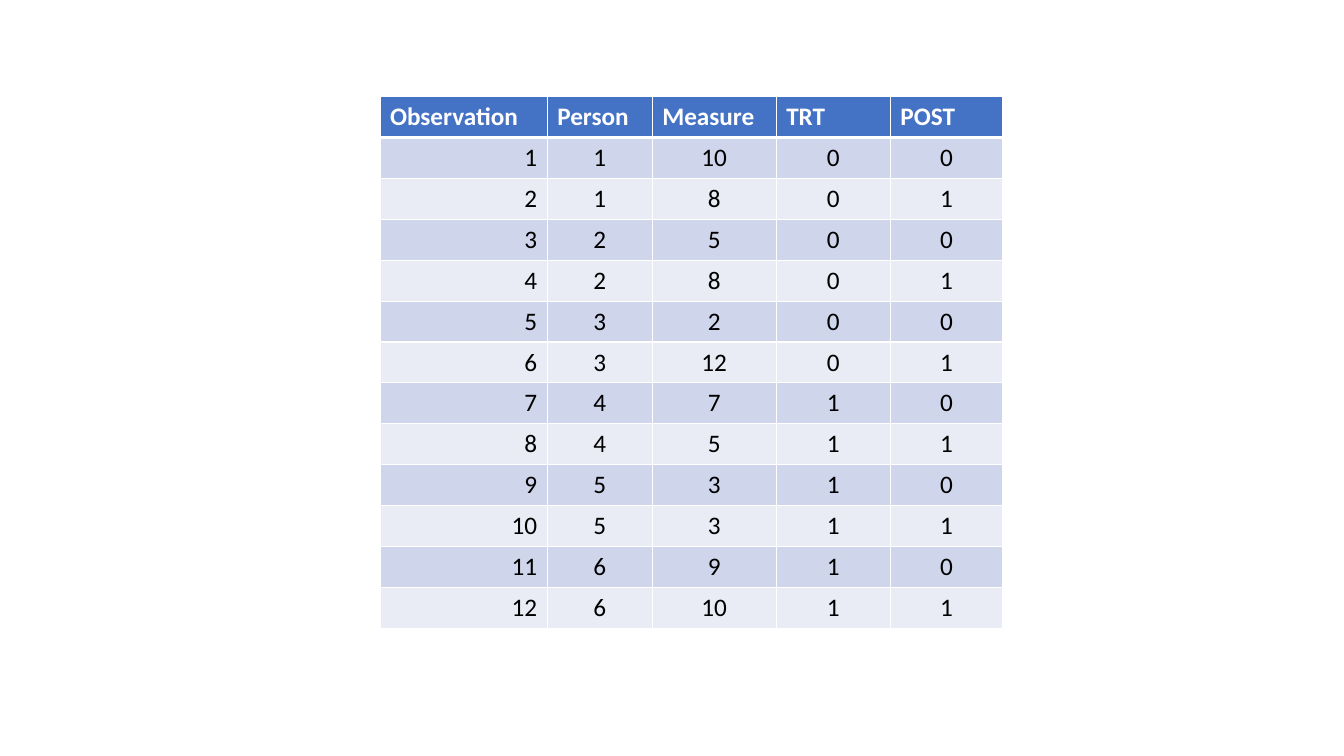
"""Build a slide with a table of before-and-after measures for six people."""
from dataclasses import dataclass

from lxml.etree import SubElement
from pptx import Presentation
from pptx.dml.color import RGBColor
from pptx.enum.text import PP_ALIGN
from pptx.oxml.ns import qn
from pptx.slide import Slide
from pptx.table import _Cell
from pptx.util import Pt

WHITE = RGBColor(0xFF, 0xFF, 0xFF)
BLACK = RGBColor(0x00, 0x00, 0x00)
BLUE = RGBColor(0x44, 0x72, 0xC4)
BAND_DARK = RGBColor(0xCF, 0xD5, 0xEA)
BAND_LIGHT = RGBColor(0xE9, 0xEB, 0xF5)

LEFT, TOP, ROW_HEIGHT = 271.4, 69.1, 29.2
THIN, THICK = 1, 3
MEASURES = (10, 8, 5, 8, 2, 12, 7, 5, 3, 3, 9, 10)


@dataclass(frozen=True)
class Column:
    """A table column: heading, width in points and alignment of its values."""
    heading: str
    width: float
    align: PP_ALIGN = PP_ALIGN.CENTER


@dataclass(frozen=True)
class RowStyle:
    """The look of one table row."""
    fill: RGBColor
    color: RGBColor = BLACK
    bold: bool = False
    top: int = THIN
    bottom: int = THIN


COLUMNS = (
    Column("Observation", 119.5, PP_ALIGN.RIGHT),
    Column("Person", 75),
    Column("Measure", 88.6),
    Column("TRT", 81.6),
    Column("POST", 80),
)


def set_borders(cell: _Cell, style: RowStyle) -> None:
    """Draw white lines on the four sides of a cell."""
    tcPr = cell._tc.get_or_add_tcPr()
    widths = {"a:lnL": THIN, "a:lnR": THIN, "a:lnT": style.top, "a:lnB": style.bottom}
    for tag, width in widths.items():
        ln = SubElement(tcPr, qn(tag), w=str(Pt(width)))
        fill = SubElement(ln, qn("a:solidFill"))
        SubElement(fill, qn("a:srgbClr"), val=str(WHITE))


def fill_cell(cell: _Cell, text: str, align: PP_ALIGN, style: RowStyle) -> None:
    """Write and format one cell."""
    set_borders(cell, style)
    cell.fill.solid()
    cell.fill.fore_color.rgb = style.fill
    p = cell.text_frame.paragraphs[0]
    p.alignment = align
    r = p.add_run()
    r.text = text
    font_format = {"name": "Calibri", "size": Pt(18), "bold": style.bold}
    for name, value in font_format.items():
        setattr(r.font, name, value)
    r.font.color.rgb = style.color


def row_style(index: int) -> RowStyle:
    """Return the header style or the band style of a row."""
    if index == 0:
        return RowStyle(BLUE, WHITE, bold=True, bottom=THICK)
    return RowStyle(BAND_DARK if index % 2 else BAND_LIGHT,
                    top=THICK if index == 1 else THIN)


def add_measure_table(s: Slide) -> None:
    """Add the table with two observations for each person."""
    rows = [tuple(column.heading for column in COLUMNS)]
    for i, measure in enumerate(MEASURES):
        treated = int(i >= len(MEASURES) // 2)
        rows.append((i + 1, i // 2 + 1, measure, treated, i % 2))
    table = s.shapes.add_table(
        len(rows), len(COLUMNS), Pt(LEFT), Pt(TOP),
        Pt(sum(column.width for column in COLUMNS)), Pt(ROW_HEIGHT * len(rows)),
    ).table
    for table_column, column in zip(table.columns, COLUMNS):
        table_column.width = Pt(column.width)
    for i, values in enumerate(rows):
        table.rows[i].height = Pt(ROW_HEIGHT)
        for j, value in enumerate(values):
            align = COLUMNS[j].align if i else PP_ALIGN.LEFT
            fill_cell(table.cell(i, j), str(value), align, row_style(i))


def main() -> None:
    """Create and save the presentation."""
    prs = Presentation()
    prs.slide_width, prs.slide_height = Pt(960), Pt(540)
    s = prs.slides.add_slide(prs.slide_layouts[6])
    add_measure_table(s)
    prs.save("out.pptx")


if __name__ == "__main__":
    main()
